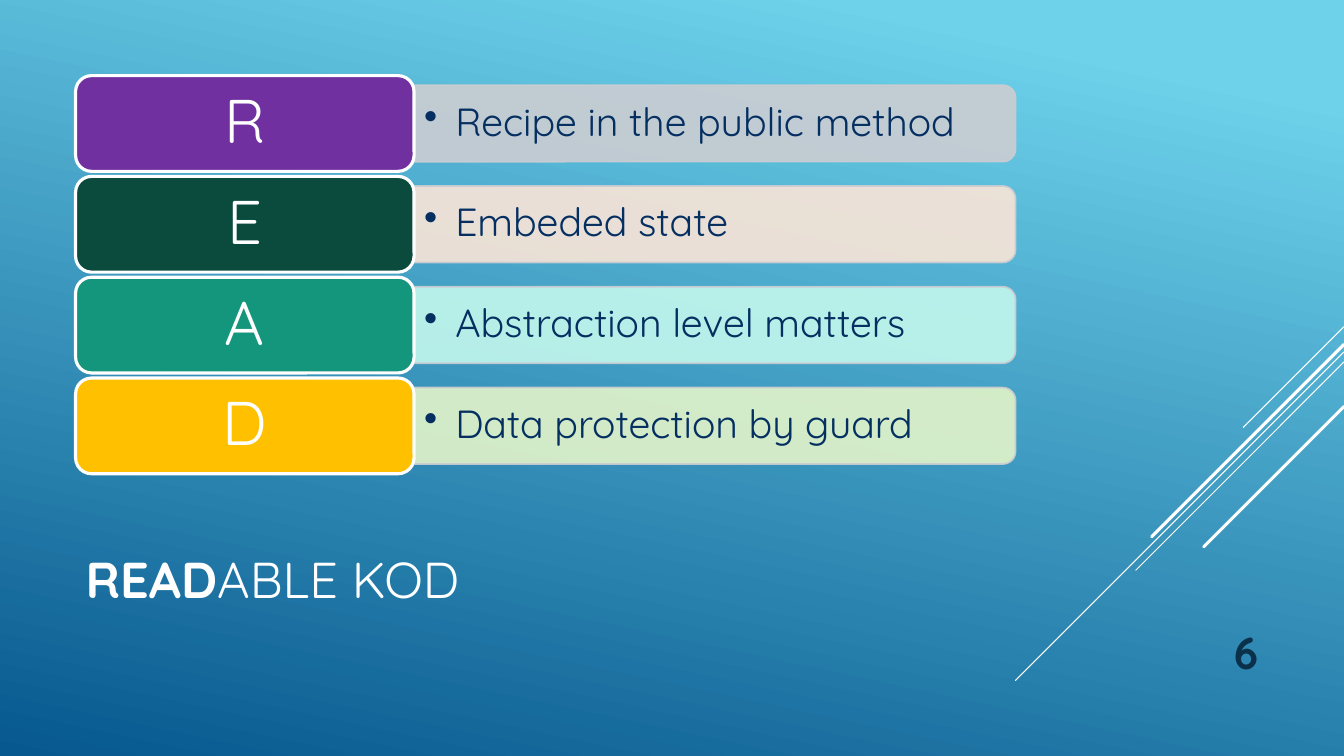
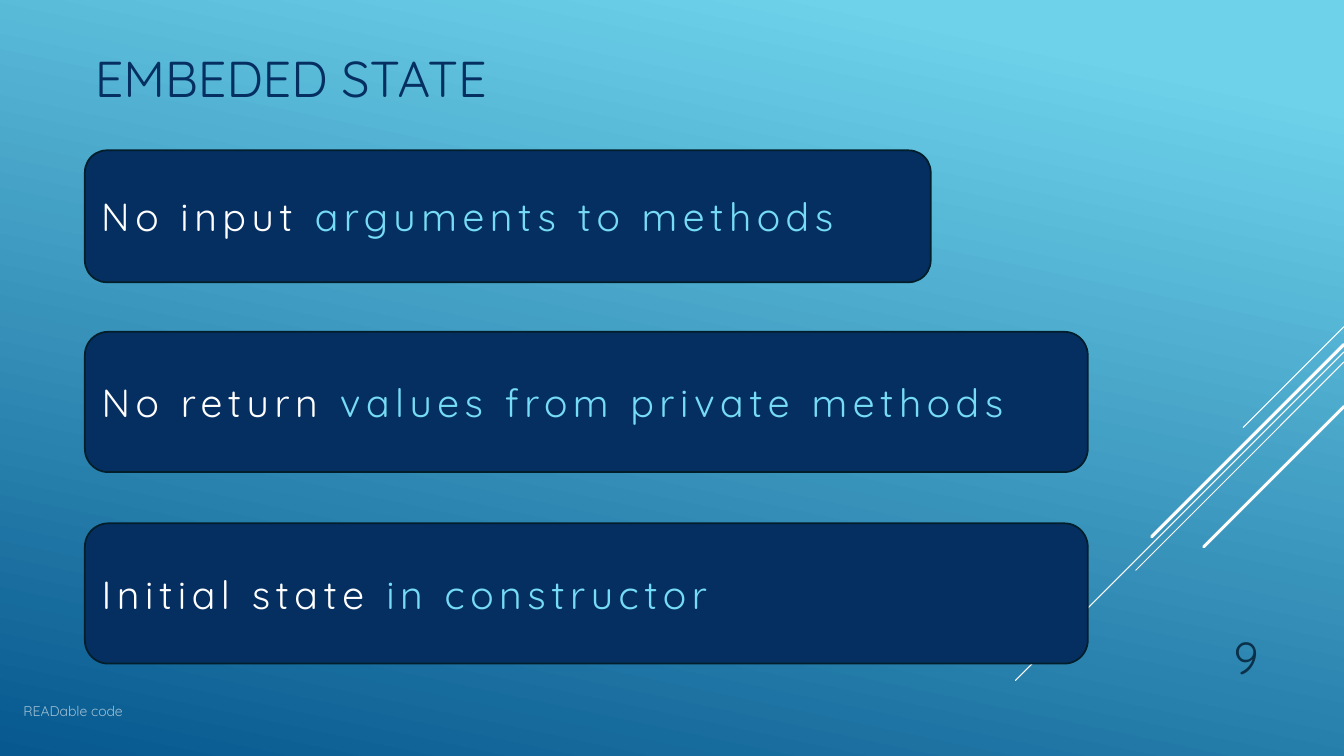
from lxml import etree
from pptx import Presentation
from pptx.dml.color import RGBColor
from pptx.enum.shapes import MSO_CONNECTOR, MSO_SHAPE
from pptx.enum.text import MSO_ANCHOR, PP_ALIGN
from pptx.oxml.ns import qn
from pptx.util import Emu, Inches, Pt

STRAIGHT = MSO_CONNECTOR.STRAIGHT
ROUNDED = MSO_SHAPE.ROUNDED_RECTANGLE
ROUNDED_TOP = MSO_SHAPE.ROUND_2_SAME_RECTANGLE
TOP, MIDDLE, BOTTOM = MSO_ANCHOR.TOP, MSO_ANCHOR.MIDDLE, MSO_ANCHOR.BOTTOM
LEFT, CENTER, RIGHT = PP_ALIGN.LEFT, PP_ALIGN.CENTER, PP_ALIGN.RIGHT

WHITE = RGBColor(0xFF, 0xFF, 0xFF)
NAVY = RGBColor(0x05, 0x2F, 0x61)
SKY = RGBColor(0x76, 0xDB, 0xF4)
CARD_EDGE = RGBColor(0x02, 0x1E, 0x2B)
NUMBER_COLOR = RGBColor(0x0A, 0x30, 0x4A)
GRADIENT_TOP = RGBColor(0x6E, 0xD2, 0xEB)
GRADIENT_BOTTOM = RGBColor(0x06, 0x58, 0x8E)
GRAY = RGBColor(0xCC, 0xCD, 0xD2)
PEACH = RGBColor(0xFA, 0xE5, 0xD7)
MINT = RGBColor(0xC3, 0xF7, 0xED)
LIME = RGBColor(0xE3, 0xF4, 0xC9)
PURPLE = RGBColor(0x70, 0x30, 0xA0)
FOREST = RGBColor(0x0A, 0x4B, 0x3E)
GREEN = RGBColor(0x14, 0x96, 0x7C)
AMBER = RGBColor(0xFF, 0xC0, 0x00)

FONT = "Quicksand"
COLUMNS, ROWS = 160, 90
SLIDE_WIDTH = Inches(40 / 3)
CELL = SLIDE_WIDTH / COLUMNS

DIAGONALS = [(38.9, 12, 0.75), (41.9, 39.1, 0.75), (43.1, 24.8, 0.75),
             (41, 22.9, 2.25), (48.4, 16.7, 2.25)]
PRINCIPLES = [
    ("R", "Recipe in the public method", PURPLE, GRAY),
    ("E", "Embeded state", FOREST, PEACH),
    ("A", "Abstraction level matters", GREEN, MINT),
    ("D", "Data protection by guard", AMBER, LIME),
]
CARDS = [
    (17.9, 100.7, 15.7, "No input ", "arguments to methods"),
    (39.5, 119.4, 16.7, "No return ", "values from private methods"),
    (62.3, 119.4, 16.7, "Initial state ", "in constructor"),
]


def cells(*counts):
    return [Emu(round(count * CELL)) for count in counts]


def set_alpha(element, percent):
    for color in element.iter(qn("a:srgbClr")):
        etree.SubElement(color, qn("a:alpha")).set("val", str(percent * 1000))


def add_run(paragraph, text, size, color, bold=False, spacing=0):
    run = paragraph.add_run()
    run.text = text
    run.font.name = FONT
    run.font.size = Pt(size)
    run.font.bold = bold
    run.font.color.rgb = color
    if spacing:
        run._r.get_or_add_rPr().set("spc", str(spacing * 100))
    return run


def start_text(shape, anchor=MIDDLE, align=LEFT):
    frame = shape.text_frame
    frame.word_wrap = True
    frame.vertical_anchor = anchor
    paragraph = frame.paragraphs[0]
    paragraph.alignment = align
    return paragraph


def add_text(slide, box, anchor=MIDDLE, align=LEFT):
    return start_text(slide.shapes.add_textbox(*cells(*box)), anchor, align)


def add_box(slide, preset, box, fill, edge, weight):
    shape = slide.shapes.add_shape(preset, *cells(*box))
    shape.shadow.inherit = False
    shape.fill.solid()
    shape.fill.fore_color.rgb = fill
    shape.line.color.rgb = edge
    shape.line.width = Pt(weight)
    return shape


def add_diagonal(slide, top, length, weight):
    ends = cells(COLUMNS, top, COLUMNS - length, top + length)
    connector = slide.shapes.add_connector(STRAIGHT, *ends)
    connector.line.color.rgb = WHITE
    connector.line.width = Pt(weight)
    connector.line._get_or_add_ln().set("cap", "rnd")
    etree.SubElement(connector._element.spPr, qn("a:effectLst"))


def add_slide(presentation):
    slide = presentation.slides.add_slide(presentation.slide_layouts[6])
    for diagonal in DIAGONALS:
        add_diagonal(slide, *diagonal)
    return slide


def add_title(slide, box, color, *parts):
    paragraph = add_text(slide, box)
    for text, bold in parts:
        add_run(paragraph, text, 36, color, bold)


def add_page_number(slide, number, anchor, bold=False, spacing=0):
    paragraph = add_text(slide, (136, 73.2, 15, 8.8), anchor, RIGHT)
    add_run(paragraph, number, 32, NUMBER_COLOR, bold, spacing)


def add_bullet(paragraph):
    paragraph.line_spacing = 0.9
    properties = paragraph._p.get_or_add_pPr()
    properties.set("marL", str(Inches(0.31)))
    properties.set("indent", str(-Inches(0.31)))
    etree.SubElement(properties, qn("a:buChar")).set("char", "•")


def add_principle(slide, index, letter, text, label_fill, bar_fill):
    left, width, height = 49.3, 71.6, 9.1
    middle = 14.7 + 12 * index
    upright = (left + (width - height) / 2, middle - width / 2, height, width)
    bar = add_box(slide, ROUNDED_TOP, upright, bar_fill, GRAY, 1.25)
    bar.rotation = 90
    set_alpha(bar._element.spPr, 90)

    paragraph = add_text(slide, (left, middle - height / 2, width, height))
    add_bullet(paragraph)
    add_run(paragraph, text, 28, NAVY)

    label_box = (9, middle - 5.7, left - 9, 11.4)
    label = add_box(slide, ROUNDED, label_box, label_fill, WHITE, 2.25)
    paragraph = start_text(label, align=CENTER)
    paragraph.line_spacing = 0.9
    add_run(paragraph, letter, 44, WHITE)


def add_card(slide, top, width, height, lead, rest):
    card = add_box(slide, ROUNDED, (10.1, top, width, height),
                   NAVY, CARD_EDGE, 1.25)
    paragraph = start_text(card)
    add_run(paragraph, lead, 28, WHITE, spacing=4)
    add_run(paragraph, rest, 28, SKY, spacing=4)


def add_footer(slide, text):
    paragraph = add_text(slide, (1.6, 83, 99, 4.8), TOP)
    run = add_run(paragraph, text, 10, WHITE)
    set_alpha(run._r, 60)


def set_background(master):
    fill = master.background.fill
    fill.gradient()
    fill.gradient_angle = 258
    stops = [(0.1, GRADIENT_TOP), (1, GRADIENT_BOTTOM)]
    for stop, (position, color) in zip(fill.gradient_stops, stops):
        stop.position = position
        stop.color.rgb = color


def build_overview(presentation):
    slide = add_slide(presentation)
    add_title(slide, (9, 58.9, 112, 19.8), WHITE,
              ("READ", True), ("ABLE KOD", False))
    for index, principle in enumerate(PRINCIPLES):
        add_principle(slide, index, *principle)
    add_page_number(slide, "6", MIDDLE, bold=True, spacing=1)


def build_embedded_state(presentation):
    slide = add_slide(presentation)
    add_title(slide, (10.1, 2.2, 112, 14.1), NAVY, ("EMBEDED STATE", False))
    for card in CARDS:
        add_card(slide, *card)
    add_page_number(slide, "9", BOTTOM)
    add_footer(slide, "READable code")


def main():
    presentation = Presentation()
    presentation.slide_width, presentation.slide_height = cells(COLUMNS, ROWS)
    set_background(presentation.slide_master)
    build_overview(presentation)
    build_embedded_state(presentation)
    presentation.save("out.pptx")


if __name__ == "__main__":
    main()
